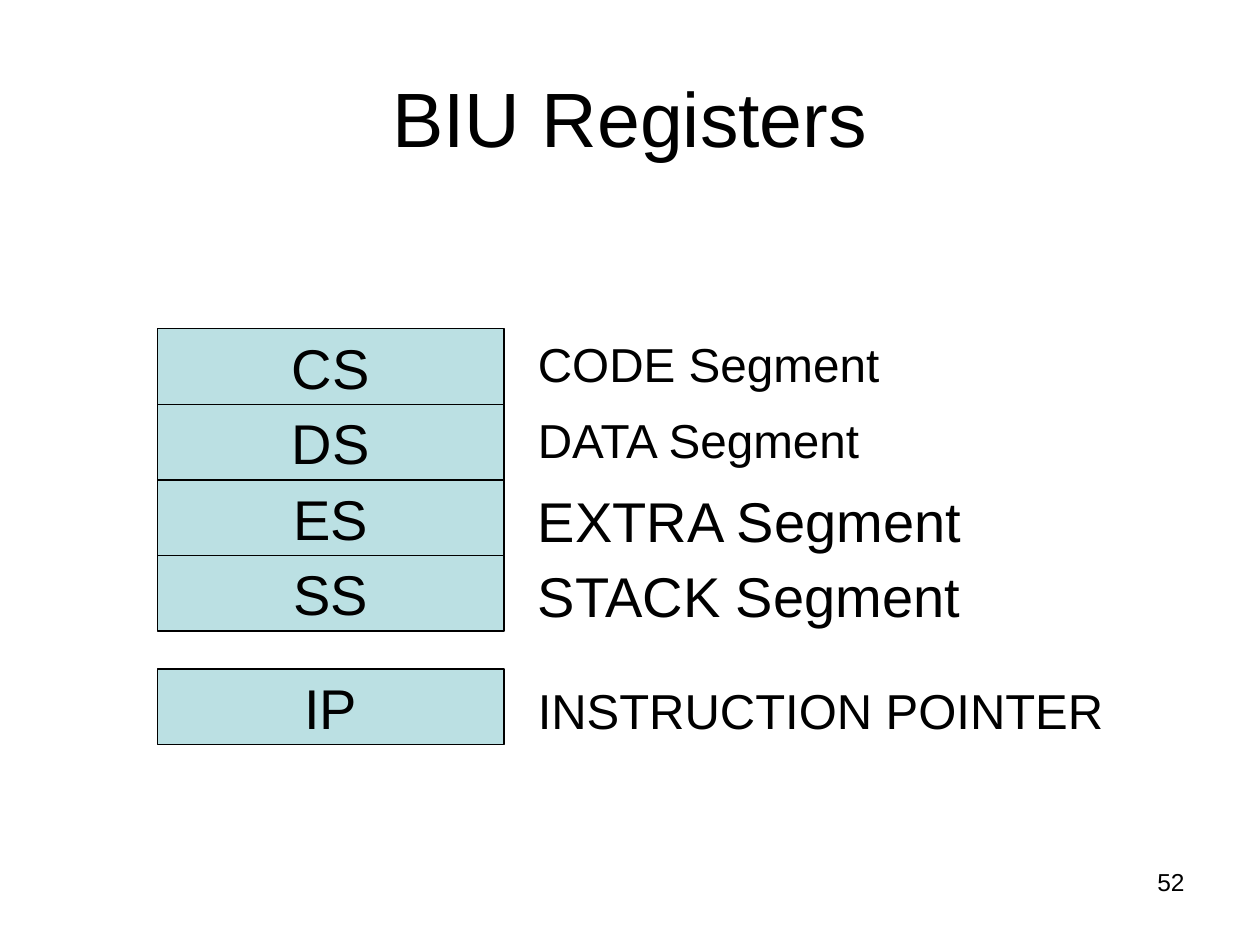
"""Build the BIU Registers slide."""
import pptx
import pptx.dml.color
import pptx.enum.shapes
import pptx.enum.text
import pptx.util

Inches = pptx.util.Inches
ALIGN = pptx.enum.text.PP_ALIGN
ANCHOR = pptx.enum.text.MSO_ANCHOR

TITLE = "BIU Registers"
PAGE_NUMBER = "52"
REGISTERS = [
    {"name": "CS", "meaning": "CODE Segment", "size": 27.2},
    {"name": "DS", "meaning": "DATA Segment", "size": 27.2},
    {"name": "ES", "meaning": "EXTRA Segment", "size": 32},
    {"name": "SS", "meaning": "STACK Segment", "size": 32},
    {"name": "IP", "meaning": "INSTRUCTION POINTER", "size": 28, "gap": 0.3, "drop": 0.04},
]
COLORS = {"text": "000000", "register": "BBE0E3", "line": "000000"}
FONT = "Arial"
REGISTER_LEFT, REGISTER_TOP = 1.25, 2.61
REGISTER_WIDTH, REGISTER_HEIGHT = 2.75, 0.6
MEANING_LEFT, MEANING_WIDTH = 4.17, 5.08


def color(name):
    return pptx.dml.color.RGBColor.from_string(COLORS[name])


def write(shape, text, size, align=ALIGN.LEFT, anchor=ANCHOR.TOP, wrap=True):
    frame = shape.text_frame
    frame.word_wrap = wrap
    frame.vertical_anchor = anchor
    paragraph = frame.paragraphs[0]
    paragraph.alignment = align
    run = paragraph.add_run()
    run.text = text
    run.font.name = FONT
    run.font.size = pptx.util.Pt(size)
    run.font.color.rgb = color("text")


def add_text(slide, place, text, size, **layout):
    box = slide.shapes.add_textbox(*map(Inches, place))
    write(box, text, size, **layout)


def add_register(slide, top, name):
    place = (REGISTER_LEFT, top, REGISTER_WIDTH, REGISTER_HEIGHT)
    shape = slide.shapes.add_shape(
        pptx.enum.shapes.MSO_SHAPE.RECTANGLE, *map(Inches, place))
    shape.shadow.inherit = False
    shape.fill.solid()
    shape.fill.fore_color.rgb = color("register")
    shape.line.color.rgb = color("line")
    shape.line.width = pptx.util.Pt(0.75)
    write(shape, name, 32, ALIGN.CENTER, ANCHOR.MIDDLE, wrap=False)


def main():
    presentation = pptx.Presentation()
    presentation.slide_width = Inches(10)
    presentation.slide_height = Inches(7.5)
    slide = presentation.slides.add_slide(presentation.slide_layouts[6])

    add_text(slide, (0.5, 0.3, 9, 1.25), TITLE, 44,
             align=ALIGN.CENTER, anchor=ANCHOR.MIDDLE)
    top = REGISTER_TOP
    for register in REGISTERS:
        top += register.get("gap", 0)
        add_register(slide, top, register["name"])
        place = (MEANING_LEFT, top + register.get("drop", 0),
                 MEANING_WIDTH, REGISTER_HEIGHT)
        add_text(slide, place, register["meaning"], register["size"])
        top += REGISTER_HEIGHT
    add_text(slide, (7.17, 6.83, 2.33, 0.52), PAGE_NUMBER, 14, align=ALIGN.RIGHT)

    presentation.save("out.pptx")


if __name__ == "__main__":
    main()
